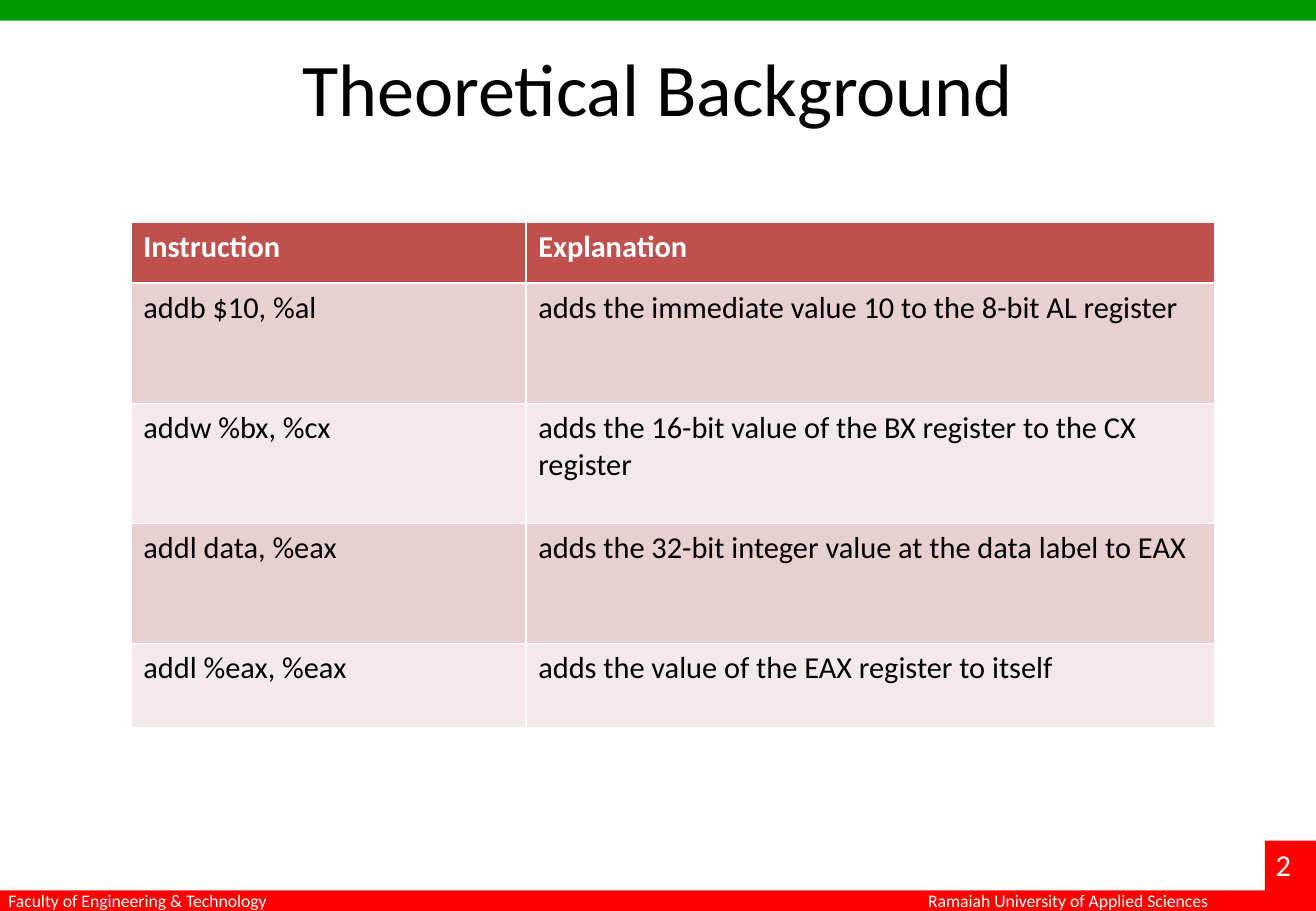
from pptx import Presentation
from pptx.dml.color import RGBColor
from pptx.enum.shapes import MSO_SHAPE
from pptx.enum.text import MSO_ANCHOR, PP_ALIGN
from pptx.util import Inches, Pt

RECTANGLE = MSO_SHAPE.RECTANGLE
TOP = MSO_ANCHOR.TOP
LEFT, CENTER = PP_ALIGN.LEFT, PP_ALIGN.CENTER

# Content
TITLE = "Theoretical Background"
TABLE_ROWS = [
    ("Instruction", "Explanation"),
    ("addb $10, %al", "adds the immediate value 10 to the 8-bit AL register"),
    ("addw %bx, %cx", "adds the 16-bit value of the BX register to the CX register"),
    ("addl data, %eax", "adds the 32-bit integer value at the data label to EAX"),
    ("addl %eax, %eax", "adds the value of the EAX register to itself"),
]
COLUMN_WIDTHS = (3.25, 5.67)
ROW_HEIGHTS = (0.5, 0.99, 0.99, 0.99, 0.69)

# Layout and colours
WIDTH, HEIGHT = 10.83, 7.5
BAND = 0.17
WHITE, BLACK = "FFFFFF", "000000"
GREEN, RED = "009900", "FF0000"
HEADER_FILL = "C0504D"
ROW_FILLS = ("F4E9E9", "E8D0D0")  # even rows, odd rows

BARS = [  # left, top, width, height, colour
    (0, 0, WIDTH, BAND, GREEN),
    (0, HEIGHT - BAND, WIDTH, BAND, RED),
    (WIDTH - 0.42, HEIGHT - 0.58, 0.42, 0.58, RED),
]
LABELS = [  # text, left, top, width, height, size
    ("Ramaiah University of Applied Sciences", 7.54, 7.28, 2.55, 0.28, 10.5),
    ("2", 10.4, 6.92, 0.5, 0.4, 18),
    ("Faculty of Engineering & Technology", -0.03, 7.28, 2.38, 0.28, 10.5),
]


def rgb(value):
    return RGBColor.from_string(value)


def box(*lengths):
    return [Inches(length) for length in lengths]


def write(text_frame, text, size=18, color=BLACK, bold=False, align=LEFT):
    text_frame.word_wrap = True
    text_frame.vertical_anchor = TOP
    paragraph = text_frame.paragraphs[0]
    paragraph.text = text
    paragraph.alignment = align
    font = paragraph.runs[0].font
    font.name = "Calibri"
    font.size = Pt(size)
    font.bold = bold
    font.color.rgb = rgb(color)


presentation = Presentation()
presentation.slide_width, presentation.slide_height = box(WIDTH, HEIGHT)
slide = presentation.slides.add_slide(presentation.slide_layouts[5])

# Coloured bars and their labels
for *place, color in BARS:
    shape = slide.shapes.add_shape(RECTANGLE, *box(*place))
    shape.shadow.inherit = False
    shape.fill.solid()
    shape.fill.fore_color.rgb = rgb(color)
    shape.line.fill.background()

for text, *place, size in LABELS:
    label = slide.shapes.add_textbox(*box(*place))
    write(label.text_frame, text, size=size, color=WHITE)

# Title
title = slide.shapes.title
title.left, title.top, title.width, title.height = box(0.54, 0.3, 9.75, 1.25)
write(title.text_frame, TITLE, size=44, align=CENTER)

# Instruction table
table = slide.shapes.add_table(
    len(TABLE_ROWS), len(COLUMN_WIDTHS),
    *box(1.08, 1.83, sum(COLUMN_WIDTHS), sum(ROW_HEIGHTS)),
).table
for column, width in zip(table.columns, COLUMN_WIDTHS):
    column.width = Inches(width)
for row, height in zip(table.rows, ROW_HEIGHTS):
    row.height = Inches(height)

for row_index, row_texts in enumerate(TABLE_ROWS):
    is_header = row_index == 0
    for column_index, text in enumerate(row_texts):
        cell = table.cell(row_index, column_index)
        cell.fill.solid()
        cell.fill.fore_color.rgb = rgb(HEADER_FILL if is_header else ROW_FILLS[row_index % 2])
        write(cell.text_frame, text, color=WHITE if is_header else BLACK, bold=is_header)

presentation.save("out.pptx")
